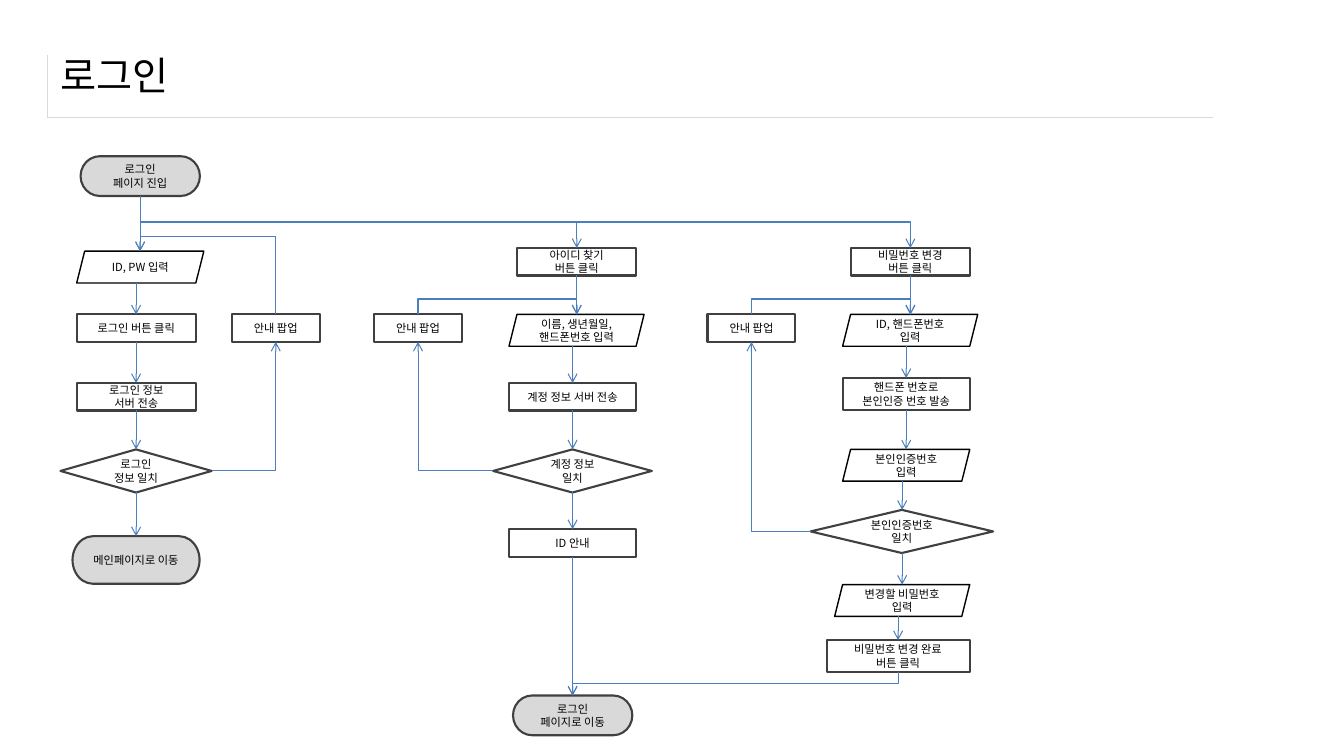
from dataclasses import dataclass

from lxml.etree import SubElement
from pptx import Presentation
from pptx.dml.color import RGBColor
from pptx.enum.shapes import MSO_CONNECTOR, MSO_SHAPE
from pptx.enum.text import MSO_ANCHOR, PP_ALIGN
from pptx.oxml import parse_xml
from pptx.oxml.ns import nsdecls, qn
from pptx.util import Pt


@dataclass(frozen=True)
class Theme:
    font: str = "Noto Sans CJK KR"
    title_size: float = 28
    step_size: float = 8
    text: RGBColor = RGBColor.from_string("000000")
    paper: RGBColor = RGBColor.from_string("FFFFFF")
    endpoint: RGBColor = RGBColor.from_string("D9D9D9")
    outline: RGBColor = RGBColor.from_string("404040")
    arrow: RGBColor = RGBColor.from_string("4B7EBC")
    rule: str = "D9D9D9"


theme = Theme()


def write_text(frame, text, size, align):
    frame_format = {"word_wrap": True, "vertical_anchor": MSO_ANCHOR.MIDDLE}
    for key, value in frame_format.items():
        setattr(frame, key, value)
    for index, line in enumerate(text.split("\n")):
        paragraph = frame.add_paragraph() if index else frame.paragraphs[0]
        paragraph.alignment = align
        run = paragraph.add_run()
        run.text = line
        for key, value in {"name": theme.font, "size": Pt(size)}.items():
            setattr(run.font, key, value)
        run.font.color.rgb = theme.text
        SubElement(run.font._element, qn("a:ea"), typeface=theme.font)


def add_arrow(kind, x1, y1, x2, y2):
    arrow = slide.shapes.add_connector(kind, Pt(x1), Pt(y1), Pt(x2), Pt(y2))
    arrow.line.width = Pt(0.75)
    arrow.line.color.rgb = theme.arrow
    properties = arrow._element.spPr
    SubElement(properties.find(qn("a:ln")), qn("a:tailEnd"), type="arrow")
    SubElement(properties, qn("a:effectLst"))
    return properties


deck = Presentation()
deck.slide_width, deck.slide_height = Pt(960), Pt(540)
slide = deck.slides.add_slide(deck.slide_layouts[6])

title_rule = slide.shapes.add_table(1, 1, Pt(33.9), Pt(39), Pt(832.3), Pt(44.6)).table
for key, value in {"first_row": False, "horz_banding": False}.items():
    setattr(title_rule, key, value)
rule_cell = title_rule.cell(0, 0)
rule_cell.fill.background()
solid = f'<a:solidFill><a:srgbClr val="{theme.rule}"/></a:solidFill>'
borders = {"lnL": solid, "lnR": "<a:noFill/>", "lnT": "<a:noFill/>", "lnB": solid}
for index, (side, paint) in enumerate(borders.items()):
    border = parse_xml(f'<a:{side} {nsdecls("a")} w="3175">{paint}</a:{side}>')
    rule_cell._tc.get_or_add_tcPr().insert(index, border)

title = slide.shapes.add_textbox(Pt(36), Pt(29.5), Pt(899), Pt(48.2))
write_text(title.text_frame, "로그인", theme.title_size, PP_ALIGN.LEFT)

kinds = {
    "terminal": (MSO_SHAPE.FLOWCHART_TERMINATOR, theme.endpoint, theme.outline, 1.5),
    "process": (MSO_SHAPE.FLOWCHART_PROCESS, theme.paper, theme.outline, 1.5),
    "input": (MSO_SHAPE.PARALLELOGRAM, theme.paper, theme.text, 1),
    "decision": (MSO_SHAPE.FLOWCHART_DECISION, theme.paper, theme.outline, 1.5),
}
steps = [
    ("terminal", 57.6, 111.6, 85.2, 28.4, "로그인\n페이지 진입"),
    ("input", 54.8, 179.4, 90.8, 22.7, "ID, PW 입력"),
    ("process", 54.8, 224.6, 85.2, 19.6, "로그인 버튼 클릭"),
    ("process", 54.8, 273.6, 85.2, 19.6, "로그인 정보\n서버 전송"),
    ("decision", 43.2, 321, 108, 30.8, "로그인\n정보 일치"),
    ("terminal", 51.8, 383, 90.8, 34, "메인페이지로 이동"),
    ("process", 369.4, 177.2, 85.2, 19.6, "아이디 찾기\n버튼 클릭"),
    ("input", 363.6, 224.6, 96.5, 22.7, "이름, 생년월일, 핸드폰번호 입력"),
    ("process", 363.6, 273.6, 90.8, 19.6, "계정 정보 서버 전송"),
    ("decision", 352.2, 321, 113.4, 30.8, "계정 정보 일치"),
    ("process", 363.6, 378, 90.8, 19.6, "ID 안내"),
    ("terminal", 366.5, 496.8, 85.2, 28.4, "로그인\n페이지로 이동"),
    ("process", 607.7, 177.2, 85.2, 19.6, "비밀번호 변경\n버튼 클릭"),
    ("input", 601.9, 224.6, 96.5, 22.7, "ID, 핸드폰번호 입력"),
    ("process", 601.9, 270, 90.8, 22.7, "핸드폰 번호로\n본인인증 번호 발송"),
    ("input", 601.9, 321, 90.8, 22.7, "본인인증번호 입력"),
    ("decision", 579, 364.2, 130.4, 30.8, "본인인증번호 일치"),
    ("input", 596.2, 417.6, 96.5, 22.7, "변경할 비밀번호 입력"),
    ("process", 590.4, 457.2, 102.2, 22.7, "비밀번호 변경 완료\n버튼 클릭"),
]
for popup_left in (165.6, 267.2, 505.4):
    steps.append(("process", popup_left, 224.6, 62.8, 19.6, "안내 팝업"))

for kind, left, top, width, height, text in steps:
    preset, fill, outline, weight = kinds[kind]
    step = slide.shapes.add_shape(preset, Pt(left), Pt(top), Pt(width), Pt(height))
    step.shadow.inherit = False
    step.fill.solid()
    step.fill.fore_color.rgb = fill
    step.line.color.rgb = outline
    step.line.width = Pt(weight)
    write_text(step.text_frame, text, theme.step_size, PP_ALIGN.CENTER)

downward_flows = {
    100.1: [(140, 179.4)],
    97.2: [(202.1, 224.6), (244.2, 273.6), (293.2, 321), (351.8, 383)],
    412: [(196.8, 224.6)],
    409: [(247.3, 273.6), (293.2, 321), (351.8, 378), (397.6, 496.8)],
    650.3: [(196.8, 224.6)],
    647.3: [(247.3, 270), (292.7, 321)],
    644.4: [(343.7, 364.2), (395, 417.6)],
    641.5: [(440.3, 457.2)],
}
for x, spans in downward_flows.items():
    for start, end in spans:
        add_arrow(MSO_CONNECTOR.STRAIGHT, x, start, x, end)

mismatch_flows = [(151.2, 336.4, 197), (352.2, 336.4, 298.6), (579, 379.6, 536.8)]
for x, y, popup_center in mismatch_flows:
    properties = add_arrow(MSO_CONNECTOR.ELBOW, x, y, popup_center, 244.2)
    properties.find(qn("a:prstGeom")).set("prst", "bentConnector2")

branch_flows = [
    (197, 224.6, 100.1, 179.4, 168.7),
    (100.1, 140, 412, 177.2, 158.6),
    (100.1, 140, 650.3, 177.2, 158.6),
    (298.6, 224.6, 412, 224.7, 214.9),
    (536.8, 224.6, 650.3, 224.7, 214.9),
    (641.5, 479.9, 409, 496.8, 488.3),
]
for x1, y1, x2, y2, turn in branch_flows:
    center_x, center_y = (x1 + x2) / 2, (y1 + y2) / 2
    half_x, half_y = (x2 - x1) / 2, (y2 - y1) / 2
    properties = add_arrow(MSO_CONNECTOR.ELBOW, center_x - half_y, center_y + half_x,
                           center_x + half_y, center_y - half_x)
    properties.find(qn("a:xfrm")).set("rot", "5400000")
    adjustments = properties.find(qn("a:prstGeom")).get_or_add_avLst()
    bend = round((turn - y1) / (y2 - y1) * 100000)
    SubElement(adjustments, qn("a:gd"), name="adj1", fmla=f"val {bend}")

deck.save("out.pptx")
